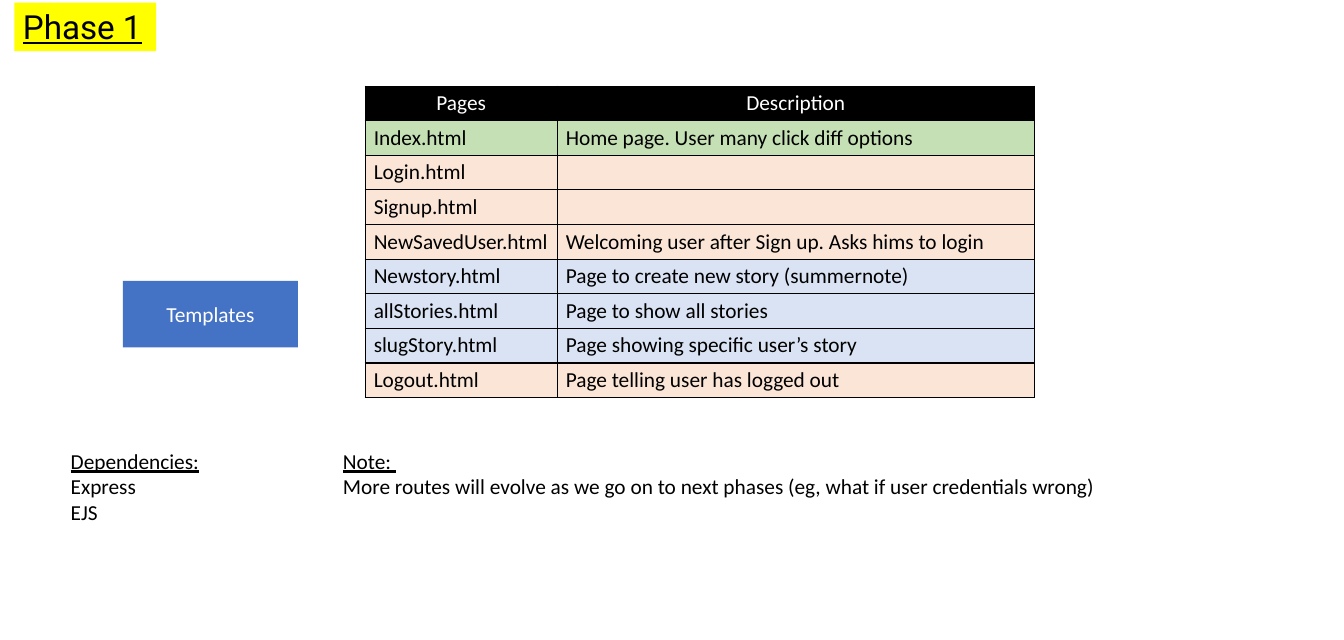
import dataclasses

import lxml.etree
import pptx
import pptx.dml.color
import pptx.enum.shapes
import pptx.enum.text
import pptx.oxml.ns
import pptx.util

ALIGN = pptx.enum.text.PP_ALIGN
ANCHOR = pptx.enum.text.MSO_ANCHOR
SCALE = 4572  # EMU per px, 200 px to the inch


@dataclasses.dataclass(frozen=True)
class Theme:
    black: str = "000000"
    white: str = "FFFFFF"
    blue: str = "4472C4"
    yellow: str = "FFFF00"
    green: str = "C5E0B4"
    peach: str = "FBE5D6"
    sky: str = "DAE3F3"
    font: str = "Calibri"
    head_font: str = "Roboto"
    size: int = 18
    head_size: int = 28


THEME = Theme()


@dataclasses.dataclass(frozen=True)
class Line:
    text: str
    color: str = THEME.black
    under: bool = False
    align: ALIGN = ALIGN.LEFT
    font: str = THEME.font
    size: int = THEME.size


@dataclasses.dataclass(frozen=True)
class Box:
    left: int
    top: int
    width: int
    height: int
    lines: tuple[Line, ...]
    fill: str = ""
    anchor: ANCHOR = ANCHOR.TOP


@dataclasses.dataclass(frozen=True)
class Page:
    name: str
    about: str
    fill: str
    color: str = THEME.black
    align: ALIGN = ALIGN.LEFT


BOXES = (
    Box(288, 658, 410, 156, (Line("Templates", THEME.white, align=ALIGN.CENTER),),
        THEME.blue, ANCHOR.MIDDLE),
    Box(784, 1040, 1824, 142, (
        Line("Note: ", under=True),
        Line("More routes will evolve as we go on to next phases "
             "(eg, what if user credentials wrong)"))),
    Box(146, 1040, 346, 202, (
        Line("Dependencies:", under=True), Line("Express"), Line("EJS"))),
    Box(34, 6, 332, 114, (
        Line("Phase 1", under=True, font=THEME.head_font, size=THEME.head_size),),
        THEME.yellow),
)

PAGES = (
    Page("Pages", "Description", THEME.black, THEME.white, ALIGN.CENTER),
    Page("Index.html", "Home page. User many click diff options", THEME.green),
    Page("Login.html", "", THEME.peach),
    Page("Signup.html", "", THEME.peach),
    Page("NewSavedUser.html", "Welcoming user after Sign up. Asks hims to login",
         THEME.peach),
    Page("Newstory.html", "Page to create new story (summernote)", THEME.sky),
    Page("allStories.html", "Page to show all stories", THEME.sky),
    Page("slugStory.html", "Page showing specific user’s story", THEME.sky),
    Page("Logout.html", "Page telling user has logged out", THEME.peach),
)
COLUMNS = (450, 1118)
ROW = 81


def px(count: int) -> pptx.util.Emu:
    return pptx.util.Emu(count * SCALE)


def rgb(code: str) -> pptx.dml.color.RGBColor:
    return pptx.dml.color.RGBColor.from_string(code)


def write(frame, lines: tuple[Line, ...]) -> None:
    for index, line in enumerate(lines):
        para = frame.add_paragraph() if index else frame.paragraphs[0]
        para.alignment = line.align
        run = para.add_run()
        run.text = line.text
        run.font.name = line.font
        run.font.size = pptx.util.Pt(line.size)
        run.font.underline = line.under
        run.font.color.rgb = rgb(line.color)


def draw_box(slide, box: Box) -> None:
    place = [px(n) for n in (box.left, box.top, box.width, box.height)]
    if box.fill:
        shape = slide.shapes.add_shape(
            pptx.enum.shapes.MSO_SHAPE.RECTANGLE, *place)
        shape.shadow.inherit = False
        shape.fill.solid()
        shape.fill.fore_color.rgb = rgb(box.fill)
        shape.line.fill.background()
    else:
        shape = slide.shapes.add_textbox(*place)
    frame = shape.text_frame
    frame.word_wrap = True
    frame.vertical_anchor = box.anchor
    write(frame, box.lines)


def add_edges(cell) -> None:
    props = cell._tc.get_or_add_tcPr()
    name = pptx.oxml.ns.qn
    for side in ("lnL", "lnR", "lnT", "lnB"):
        edge = lxml.etree.SubElement(
            props, name(f"a:{side}"), w=str(pptx.util.Pt(1)))
        fill = lxml.etree.SubElement(edge, name("a:solidFill"))
        lxml.etree.SubElement(fill, name("a:srgbClr"), val=THEME.black)


def draw_table(slide, pages: tuple[Page, ...]) -> None:
    table = slide.shapes.add_table(
        len(pages), len(COLUMNS), px(856), px(202),
        px(sum(COLUMNS)), px(ROW * len(pages))).table
    table.first_row = table.horz_banding = False
    for column, width in zip(table.columns, COLUMNS):
        column.width = px(width)
    for row, page in zip(table.rows, pages):
        row.height = px(ROW)
        for cell, text in zip(row.cells, (page.name, page.about)):
            add_edges(cell)
            cell.fill.solid()
            cell.fill.fore_color.rgb = rgb(page.fill)
            if text:
                write(cell.text_frame,
                      (Line(text, page.color, align=page.align),))


def main() -> None:
    deck = pptx.Presentation()
    deck.slide_width, deck.slide_height = px(3150), px(1500)
    slide = deck.slides.add_slide(deck.slide_layouts[6])
    # Table of pages
    draw_table(slide, PAGES)
    # Title, label and notes
    for box in BOXES:
        draw_box(slide, box)
    deck.save("out.pptx")


if __name__ == "__main__":
    main()
